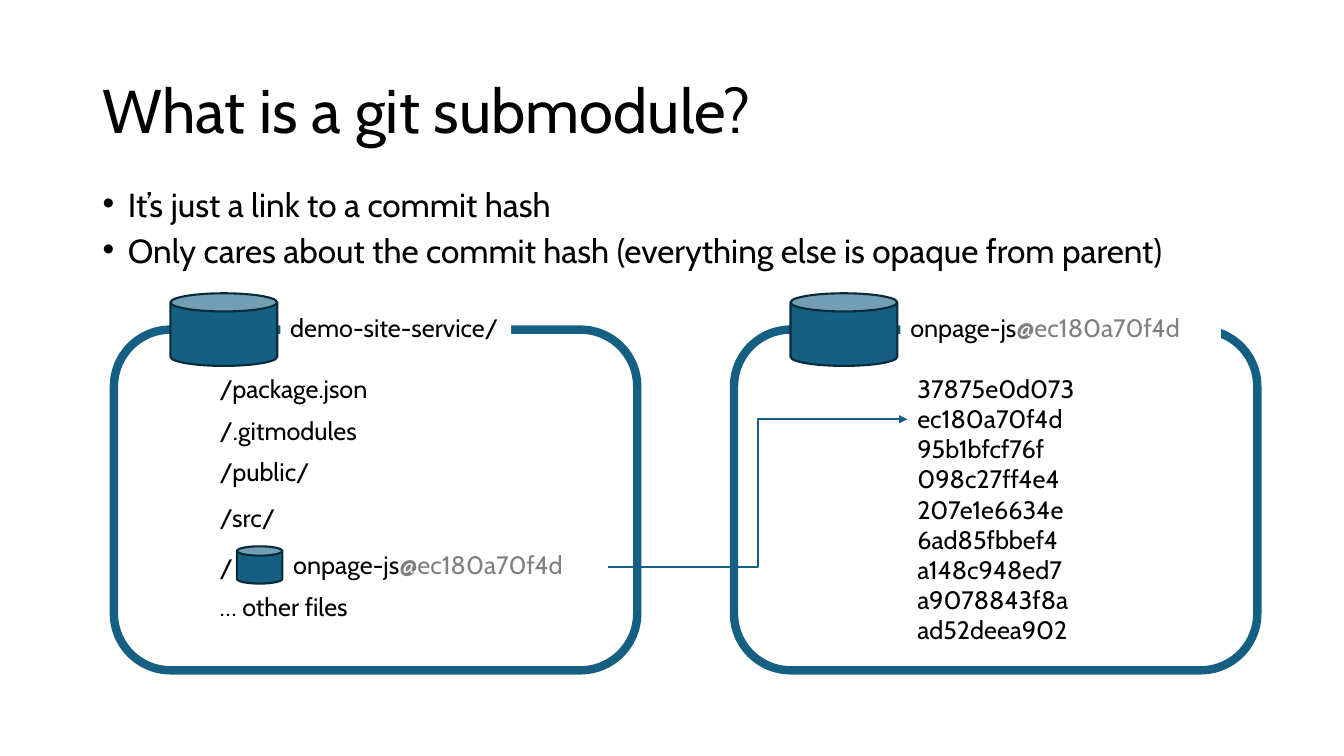
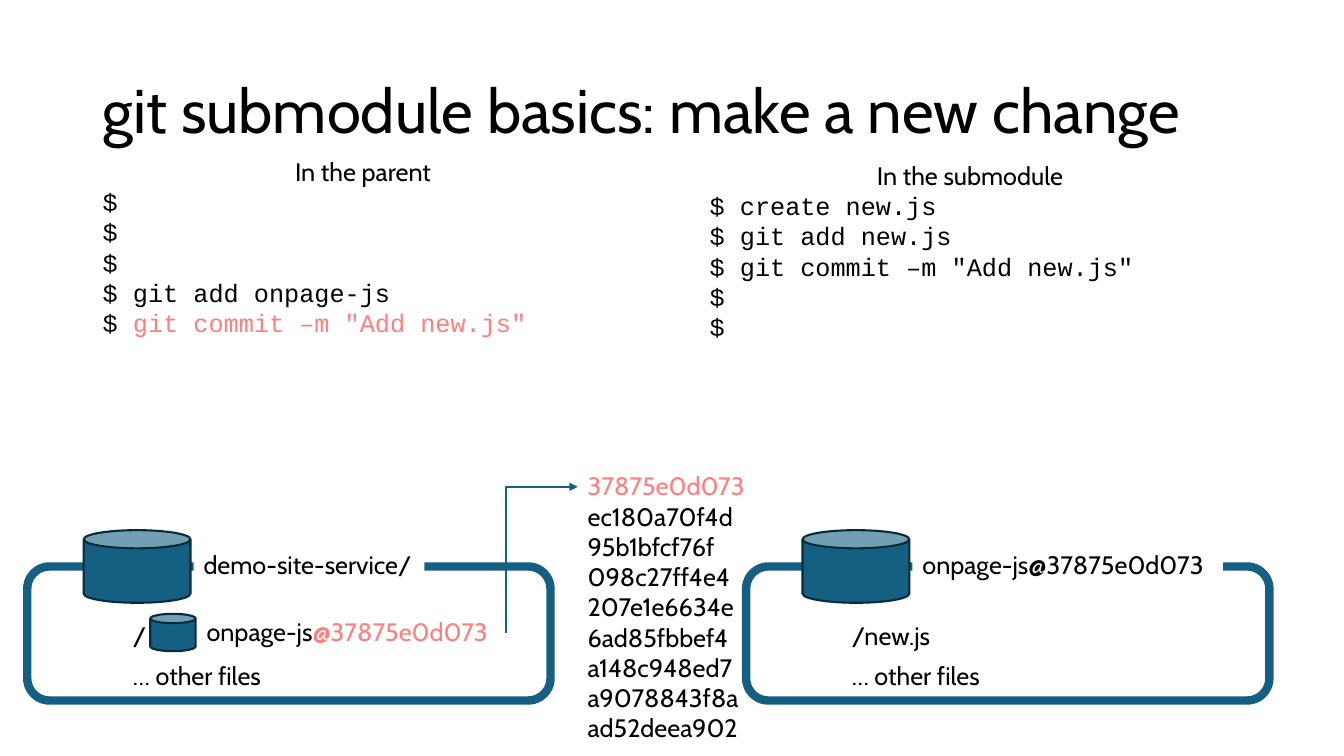
from lxml import etree
from pptx import Presentation
from pptx.dml.color import RGBColor
from pptx.enum.shapes import MSO_CONNECTOR, MSO_SHAPE
from pptx.enum.text import MSO_ANCHOR, PP_ALIGN
from pptx.oxml.ns import qn
from pptx.util import Inches, Pt

BLACK = RGBColor(0x00, 0x00, 0x00)
WHITE = RGBColor(0xFF, 0xFF, 0xFF)
GRAY = RGBColor(0x80, 0x80, 0x80)
CORAL = RGBColor(0xFF, 0x7F, 0x7F)
TEAL = RGBColor(0x15, 0x60, 0x82)
DARK_TEAL = RGBColor(0x09, 0x2A, 0x39)

SANS, MONO = "Cabin", "Courier New"
ROW_HEIGHT = 0.4
PANEL_WIDTH = 5.19
PARENT, SUBMODULE = "demo-site-service/", "onpage-js"
COMMITS = ["37875e0d073", "ec180a70f4d", "95b1bfcf76f", "098c27ff4e4", "207e1e6634e",
           "6ad85fbbef4", "a148c948ed7", "a9078843f8a", "ad52deea902"]


def add_text(shapes, left, top, width, height, lines, size=18, fill=None):
    """Each line is a string or a list of (text, colour) pieces."""
    box = shapes.add_textbox(Inches(left), Inches(top), Inches(width), Inches(height))
    if fill is not None:
        box.fill.solid()
        box.fill.fore_color.rgb = fill
    frame = box.text_frame
    frame.word_wrap = True
    for index, line in enumerate(lines):
        paragraph = frame.paragraphs[0] if index == 0 else frame.add_paragraph()
        for text, color in [(line, BLACK)] if isinstance(line, str) else line:
            run = paragraph.add_run()
            run.text = text
            run.font.name, run.font.size, run.font.color.rgb = SANS, Pt(size), color
    return frame


def add_outlined(shapes, preset, left, top, width, height, fill, line, weight):
    shape = shapes.add_shape(preset, Inches(left), Inches(top), Inches(width), Inches(height))
    shape.shadow.inherit = False
    shape.fill.solid()
    shape.fill.fore_color.rgb = fill
    shape.line.color.rgb = line
    shape.line.width = Pt(weight)


def add_repository(shapes, left, top, width, height):
    add_outlined(shapes, MSO_SHAPE.CAN, left, top, width, height, TEAL, DARK_TEAL, 1.5)


def add_title(slide, title):
    frame = add_text(slide.shapes, 0.92, 0.4, 11.5, 1.45, [title], size=44)
    frame.vertical_anchor = MSO_ANCHOR.MIDDLE
    frame.paragraphs[0].line_spacing = 0.9


def add_bullets(slide, left, top, width, height, lines):
    frame = add_text(slide.shapes, left, top, width, height, lines, size=23.8)
    for paragraph in frame.paragraphs:
        paragraph.line_spacing = 0.8
        paragraph.space_before = Pt(10)
        properties = paragraph._p.get_or_add_pPr()
        properties.set("marL", str(Inches(0.25)))
        properties.set("indent", str(-Inches(0.25)))
        etree.SubElement(properties, qn("a:buFont")).set("typeface", "Arial")
        etree.SubElement(properties, qn("a:buChar")).set("char", "•")


def add_panel(slide, left, top, height, label, label_width, rows=(), link=None):
    """Repository frame; rows are (offset, text), link is (offset, pieces)."""
    shapes = slide.shapes.add_group_shape().shapes
    add_outlined(shapes, MSO_SHAPE.ROUNDED_RECTANGLE, left, top, PANEL_WIDTH, height,
                 WHITE, TEAL, 6)
    add_repository(shapes, left + 0.56, top - 0.36, 1.06, 0.72)
    add_text(shapes, left + 1.65, top - 0.22, label_width, ROW_HEIGHT, [label], fill=WHITE)
    row_left = left + 0.95
    for offset, text in rows:
        add_text(shapes, row_left, top + offset, 2.06, ROW_HEIGHT, [text])
    if link:
        offset, pieces = link
        row_top = top + offset
        add_text(shapes, row_left, row_top, 0.27, ROW_HEIGHT, ["/"])
        add_repository(shapes, row_left + 0.27, row_top - 0.01, 0.45, 0.37)
        add_text(shapes, row_left + 0.73, row_top - 0.03, 3.21, ROW_HEIGHT, [pieces])


def add_commits(slide, left, top, highlight=None):
    lines = [[(commit, CORAL if commit == highlight else BLACK)] for commit in COMMITS]
    add_text(slide.shapes, left, top, 1.96, 2.83, lines)


def add_pointer(slide, start, end, bend=0.5):
    """Elbow arrow; bend is the share of the width before it turns."""
    pointer = slide.shapes.add_connector(
        MSO_CONNECTOR.ELBOW, *(Inches(value) for value in start + end))
    pointer.line.color.rgb = TEAL
    pointer.line.width = Pt(1.5)
    properties = pointer._element.spPr
    guides = properties.find(qn("a:prstGeom")).get_or_add_avLst()
    guide = etree.SubElement(guides, qn("a:gd"))
    guide.set("name", "adj1")
    guide.set("fmla", f"val {round(bend * 100000)}")
    etree.SubElement(pointer.line._get_or_add_ln(), qn("a:tailEnd")).set("type", "triangle")
    etree.SubElement(properties, qn("a:effectLst"))


def add_terminal(slide, left, top, heading, commands):
    frame = add_text(slide.shapes, left, top, 5.36, 1.92, [heading] + commands)
    frame.paragraphs[0].alignment = PP_ALIGN.CENTER
    for paragraph in frame.paragraphs[1:]:
        for run in paragraph.runs:
            run.font.name = MONO


def build_definition(slide):
    add_title(slide, "What is a git submodule?")
    pinned = [(SUBMODULE, BLACK), ("@ec180a70f4d", GRAY)]
    # Parent and submodule repositories
    add_panel(slide, 1.13, 3.27, 3.38, PARENT, 2.29,
              rows=[(0.38, "/package.json"), (0.8, "/.gitmodules"), (1.21, "/public/"),
                    (1.66, "/src/"), (2.55, "… other files")],
              link=(2.16, pinned))
    add_panel(slide, 7.28, 3.27, 3.38, pinned, 3.18)
    add_bullets(slide, 0.92, 1.85, 11.5, 1.05, [
        "It’s just a link to a commit hash",
        "Only cares about the commit hash (everything else is opaque from parent)"])
    # Link to the pinned commit
    add_pointer(slide, (6.03, 5.63), (9, 4.16))
    add_commits(slide, 9, 3.65)


def build_new_change(slide):
    add_title(slide, "git submodule basics: make a new change")
    # Parent repository and its link to the new commit
    add_panel(slide, 0.27, 5.62, 1.33, PARENT, 2.29, rows=[(0.88, "… other files")],
              link=(0.48, [(SUBMODULE, BLACK), ("@37875e0d073", CORAL)]))
    add_pointer(slide, (5.02, 6.28), (5.73, 4.83), bend=0)
    add_commits(slide, 5.73, 4.62, highlight="37875e0d073")
    # Submodule repository
    add_panel(slide, 7.4, 5.62, 1.33, SUBMODULE + "@37875e0d073", 3.08,
              rows=[(0.48, "/new.js"), (0.88, "… other files")])
    # Commands on both sides
    commit = 'git commit –m "Add new.js"'
    add_terminal(slide, 0.92, 1.5, "In the parent",
                 ["$"] * 3 + ["$ git add onpage-js", [("$ ", BLACK), (commit, CORAL)]])
    add_terminal(slide, 6.94, 1.54, "In the submodule",
                 ["$ create new.js", "$ git add new.js", "$ " + commit] + ["$"] * 2)


def main():
    deck = Presentation()
    deck.slide_width, deck.slide_height = Inches(13.33), Inches(7.5)
    for build in (build_definition, build_new_change):
        build(deck.slides.add_slide(deck.slide_layouts[6]))
    deck.save("out.pptx")


if __name__ == "__main__":
    main()
